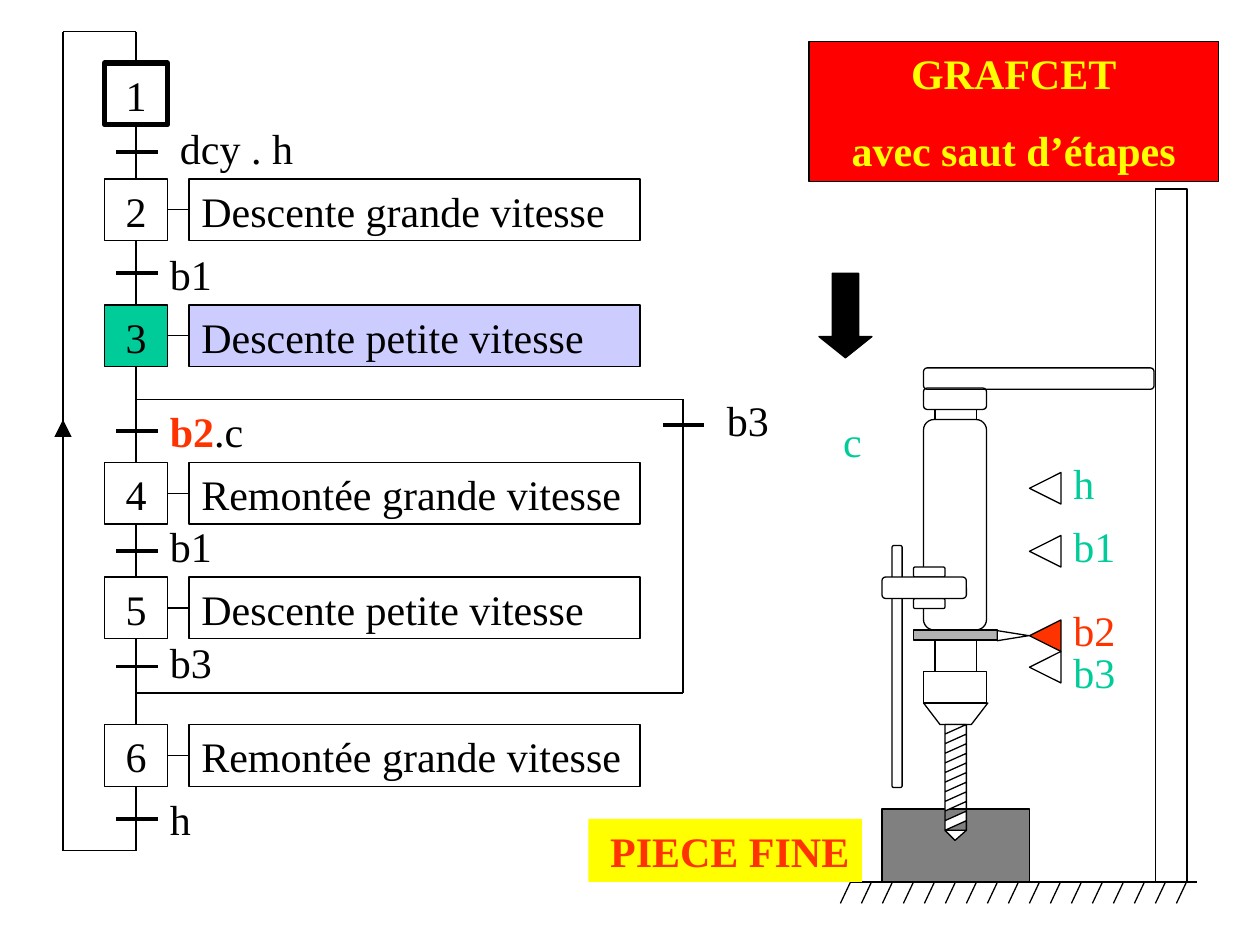
from lxml import etree
from pptx import Presentation
from pptx.dml.color import RGBColor as RGB
from pptx.enum.shapes import MSO_CONNECTOR as Link, MSO_SHAPE as Kind
from pptx.enum.text import MSO_ANCHOR as Anchor, MSO_AUTO_SIZE as Auto, PP_ALIGN as Align
from pptx.oxml.ns import qn
from pptx.util import Inches, Pt

HEX = {"black": "000000", "white": "FFFFFF", "green": "00CC99", "lilac": "CCCCFF",
       "red": "FF0000", "orange": "FF3300", "yellow": "FFFF00",
       "silver": "B2B2B2", "gray": "808080"}
INK = {name: RGB.from_string(code) for name, code in HEX.items()}
FONT = "Times New Roman"

deck = Presentation()
deck.slide_width, deck.slide_height = Inches(10), Inches(7.5)
slide = deck.slides.add_slide(deck.slide_layouts[5])
shapes = slide.shapes


def box(kind, at, fill=None, width=0.75, runs=(), align=Align.LEFT):
    spot = [Inches(v) for v in at]
    if kind is None:
        shape = shapes.add_textbox(*spot)
    else:
        shape = shapes.add_shape(kind, *spot)
        shape.shadow.inherit = False
        shape.line.color.rgb = INK["black"]
        shape.line.width = Pt(width)
        if fill:
            shape.fill.solid()
            shape.fill.fore_color.rgb = INK[fill]
        else:
            shape.fill.background()
        if width == 0:
            shape.line.fill.background()
    frame = shape.text_frame
    frame.word_wrap = True
    frame.vertical_anchor = Anchor.TOP
    para = frame.paragraphs[0]
    para.alignment = align
    for text, color, bold in runs:
        run = para.add_run()
        run.text = text
        run.font.name, run.font.size, run.font.bold = FONT, Pt(24), bold
        run.font.color.rgb = INK[color]
    return shape


def line(x1, y1, x2, y2, width=0.75):
    link = shapes.add_connector(Link.STRAIGHT, *[Inches(v) for v in (x1, y1, x2, y2)])
    link.line.color.rgb = INK["black"]
    link.line.width = Pt(width)
    etree.SubElement(link._element.spPr, qn("a:effectLst"))
    return link


title = shapes.title
title.left, title.top, title.width, title.height = [Inches(v) for v in (6.42, 0.33, 3.25, 1.11)]
title.fill.solid()
title.fill.fore_color.rgb = INK["red"]
title.line.color.rgb = INK["black"]
title.line.width = Pt(0.75)
head = title.text_frame
head.word_wrap, head.auto_size, head.vertical_anchor = True, Auto.NONE, Anchor.TOP
for i, text in enumerate(["GRAFCET", "avec saut d’étapes"]):
    para = head.add_paragraph() if i else head.paragraphs[0]
    para.alignment = Align.CENTER
    para.space_before = Pt(15 * i)
    run = para.add_run()
    run.text = text
    run.font.name, run.font.size, run.font.bold = FONT, Pt(24), True
    run.font.color.rgb = INK["yellow"]

steps = []
for num, top, act, fill, tint in [
        (1, 0.5, "", None, None),
        (2, 1.42, "Descente grande vitesse", None, None),
        (3, 2.42, "Descente petite vitesse", "green", "lilac"),
        (4, 3.67, "Remontée grande vitesse", None, None),
        (5, 4.58, "Descente petite vitesse", None, None),
        (6, 5.75, "Remontée grande vitesse", None, None)]:
    step = box(Kind.RECTANGLE, (0.83, top, 0.5, 0.49), fill, 0.75 if act else 3,
               [(str(num), "black", False)], Align.CENTER)
    steps.append(step)
    if act:
        task = box(Kind.RECTANGLE, (1.5, top, 3.58, 0.49), tint,
                   runs=[(act, "black", False)])
        link = line(1.33, top + 0.25, 1.5, top + 0.25)
        link.begin_connect(step, 3)
        link.end_connect(task, 1)

for start, y1, end, y2 in [(None, 0.25, 1, 0.5), (1, 0.99, 2, 1.42), (2, 1.91, 3, 2.42),
                           (3, 2.91, None, 3.17), (None, 3.17, 4, 3.67), (4, 4.16, 5, 4.58),
                           (5, 5.07, None, 5.5), (None, 5.5, 6, 5.75), (6, 6.24, None, 6.75)]:
    link = line(1.08, y1, 1.08, y2)
    if start:
        link.begin_connect(steps[start - 1], 2)
    if end:
        link.end_connect(steps[end - 1], 0)

for x, y, left, top, runs in [
        (1.08, 1.21, 1.33, 0.92, [("dcy . h", "black", False)]),
        (1.08, 2.17, 1.25, 1.92, [("b1", "black", False)]),
        (1.08, 3.42, 1.25, 3.17, [("b2", "orange", True), (".c", "black", False)]),
        (1.08, 4.37, 1.25, 4.08, [("b1", "black", False)]),
        (1.08, 5.29, 1.25, 5, [("b3", "black", False)]),
        (1.08, 6.5, 1.25, 6.25, [("h", "black", False)]),
        (5.42, 3.37, 5.67, 3.08, [("b3", "black", False)])]:
    line(x - 0.16, y, x + 0.17, y, 2.25)
    box(None, (left, top, 1.17, 0.49), runs=runs)

for ends in [(1.08, 3.17, 5.42, 3.17), (5.42, 3.17, 5.42, 5.5), (5.42, 5.5, 1.08, 5.5),
             (1.08, 6.75, 0.5, 6.75), (0.5, 6.75, 0.5, 0.25), (0.5, 0.25, 1.08, 0.25)]:
    line(*ends)
arrow = line(0.5, 4, 0.5, 3.33)
etree.SubElement(arrow.line._get_or_add_ln(), qn("a:tailEnd"), type="triangle", w="lg", len="lg")

for name, top, high, fill, color in [
        ("h", 3.75, 3.58, "white", "green"), ("b1", 4.25, 4.08, None, "green"),
        ("b2", 4.92, 4.75, "orange", "orange"), ("b3", 5.17, 5.08, None, "green")]:
    mark = box(Kind.ISOSCELES_TRIANGLE, (8.17, top, 0.25, 0.25), fill)
    mark.rotation = 270
    box(None, (8.42, high, 0.6, 0.5), runs=[(name, color, False)])
box(None, (6.59, 3.25, 0.35, 0.5), runs=[("c", "green", False)], align=Align.CENTER)

RECT, ROUND = Kind.RECTANGLE, Kind.ROUNDED_RECTANGLE
for kind, at, fill in [
        (RECT, (7.33, 5.33, 0.5, 0.25), None),
        (RECT, (7.42, 5.08, 0.33, 0.25), None),
        (RECT, (7.25, 5, 0.67, 0.08), "silver"),
        (ROUND, (7.33, 3.33, 0.5, 1.67), None),
        (RECT, (7.42, 3.25, 0.33, 0.08), None),
        (ROUND, (7.33, 3.08, 0.5, 0.17), None),
        (ROUND, (7.25, 4.5, 0.25, 0.08), "white"),
        (ROUND, (7.25, 4.75, 0.25, 0.08), "white"),
        (ROUND, (7.08, 4.33, 0.08, 1.92), "white"),
        (ROUND, (7, 4.58, 0.67, 0.17), "white"),
        (ROUND, (7.33, 2.92, 1.83, 0.17), None),
        (RECT, (9.17, 1.5, 0.25, 5.5), None),
        (RECT, (7, 6.42, 1.17, 0.58), "gray")]:
    box(kind, at, fill)
tip = box(Kind.ISOSCELES_TRIANGLE, (8, 4.92, 0.08, 0.25))
tip.rotation = 90
down = box(Kind.DOWN_ARROW, (6.5, 2.17, 0.42, 0.67), "black")
down.adjustments[0], down.adjustments[1] = 0.5, 0.4

line(6.75, 7, 9.5, 7)
for i in range(17):
    x = 6.75 + i / 6
    line(x, 7, x - 0.08, 7.17)

chuck = [(7.33, 5.58), (7.84, 5.58), (7.71, 5.75), (7.46, 5.75)]
left, right, top, low = 7.5, 7.67, 5.75, 6.59
pitch = (low - top) / 11
drill = [(left, top)]
for i in range(11):
    edge = [(right, top + i * pitch), (left, top + (i + 1) * pitch)]
    drill += edge[::-1] if i % 2 else edge
drill += [(7.58, 6.67), (right, low), (right, top), (right, low), (left, low)]
for dots, fill in [(chuck, None), (drill, "white")]:
    dots = [(Inches(x), Inches(y)) for x, y in dots]
    pen = shapes.build_freeform(*dots[0])
    pen.add_line_segments(dots[1:], close=True)
    part = pen.convert_to_shape()
    part.shadow.inherit = False
    part.line.color.rgb = INK["black"]
    part.line.width = Pt(0.75)
    if fill:
        part.fill.solid()
        part.fill.fore_color.rgb = INK[fill]
    else:
        part.fill.background()

box(RECT, (4.67, 6.5, 2.17, 0.5), "yellow", 0, [("PIECE FINE", "orange", True)], Align.RIGHT)

deck.save("out.pptx")
